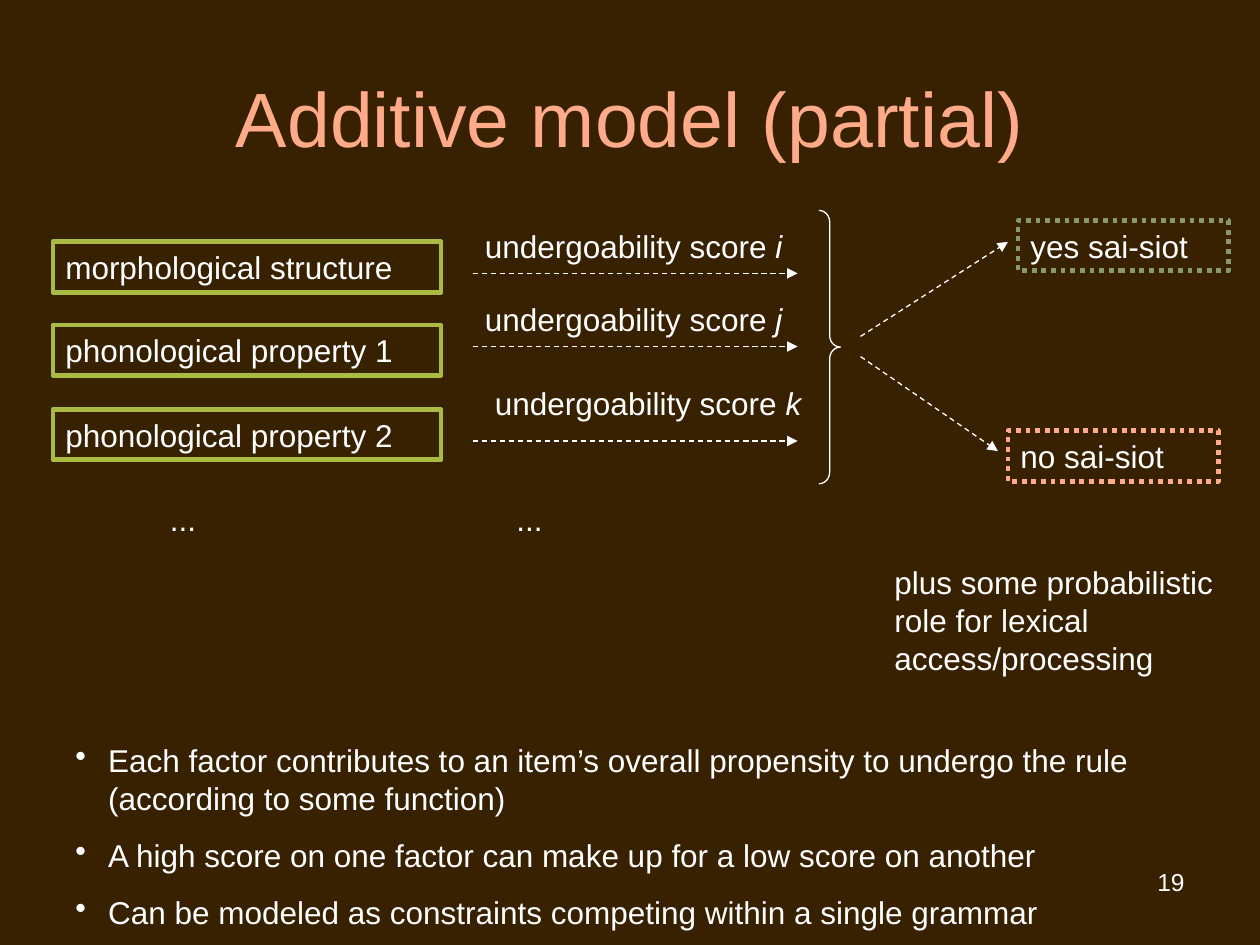
from dataclasses import dataclass

from lxml import etree
from pptx import Presentation
from pptx.dml.color import RGBColor
from pptx.enum.dml import MSO_LINE
from pptx.enum.shapes import MSO_CONNECTOR, MSO_SHAPE
from pptx.enum.text import MSO_ANCHOR, PP_ALIGN
from pptx.oxml.ns import qn
from pptx.util import Inches, Pt

RECTANGLE, RIGHT_BRACE = MSO_SHAPE.RECTANGLE, MSO_SHAPE.RIGHT_BRACE
STRAIGHT = MSO_CONNECTOR.STRAIGHT
DASH, DOTS, SOLID = MSO_LINE.DASH, MSO_LINE.ROUND_DOT, MSO_LINE.SOLID
TOP, MIDDLE = MSO_ANCHOR.TOP, MSO_ANCHOR.MIDDLE
LEFT, CENTER, RIGHT = PP_ALIGN.LEFT, PP_ALIGN.CENTER, PP_ALIGN.RIGHT


@dataclass(frozen=True)
class Theme:
    font: str = "Arial"
    background: str = "372100"
    text: str = "FFFFFF"
    accent: str = "FFAA88"
    factor: str = "AABB44"
    positive: str = "889966"
    title_size: float = 44
    body_size: float = 18
    number_size: float = 14
    space_before: float = 11.2
    box_line: float = 2.75
    thin_line: float = 0.75


THEME = Theme()
WIDTH, HEIGHT = 10, 7.5
CELL = WIDTH / 120
LINE_ROWS = 4.8
INDENT = 0.26

TITLE = "Additive model (partial)"
FACTORS = [
    ("morphological structure", 23),
    ("phonological property 1", 31),
    ("phonological property 2", 39),
]
SCORE = "undergoability score "
SCORES = [("i", 45, 21, 26), ("j", 45, 28, 33), ("k", 46, 36, 42)]
OUTCOMES = [
    ("yes sai-siot", 97, 21, THEME.positive, (82, 32), (96, 23)),
    ("no sai-siot", 96, 41, THEME.accent, (82, 34), (95, 43)),
]
ELLIPSIS_COLUMNS = [15, 48]
ASIDE = "plus some probabilistic role for lexical access/processing"
POINTS = [
    "Each factor contributes to an item’s overall propensity to undergo the rule (according to some function)",
    "A high score on one factor can make up for a low score on another",
    "Can be modeled as constraints competing within a single grammar",
]
PAGE = "19"


def grid(*cells):
    return [Inches(round(cell * CELL, 2)) for cell in cells]


def style_line(line, color, width, dash=SOLID):
    line.color.rgb = RGBColor.from_string(color)
    line.width = Pt(width)
    line.dash_style = dash


def style_paragraph(paragraph, size=THEME.body_size, color=THEME.text, align=LEFT):
    paragraph.alignment = align
    paragraph.font.name = THEME.font
    paragraph.font.size = Pt(size)
    paragraph.font.color.rgb = RGBColor.from_string(color)


def write(shape, *lines, **style):
    frame = shape.text_frame
    frame.word_wrap = True
    frame.vertical_anchor = TOP
    frame.text = "\n".join(lines)
    for paragraph in frame.paragraphs:
        style_paragraph(paragraph, **style)
        paragraph.space_before = Pt(THEME.space_before)
    return frame


def add_text(slide, cells, *lines, **style):
    return write(slide.shapes.add_textbox(*grid(*cells)), *lines, **style)


def add_box(slide, cells, label, color, dash=SOLID):
    box = slide.shapes.add_shape(RECTANGLE, *grid(*cells))
    box.shadow.inherit = False
    box.fill.background()
    style_line(box.line, color, THEME.box_line, dash)
    write(box, label)


def add_arrow(slide, start, end):
    arrow = slide.shapes.add_connector(STRAIGHT, *grid(*start, *end))
    style_line(arrow.line, THEME.text, THEME.thin_line, DASH)
    properties = arrow._element.spPr
    etree.SubElement(properties.find(qn("a:ln")), qn("a:tailEnd"), type="triangle")
    etree.SubElement(properties, qn("a:effectLst"))


def add_bullet(paragraph):
    properties = paragraph._p.get_or_add_pPr()
    properties.set("marL", str(Inches(INDENT)))
    properties.set("indent", str(-Inches(INDENT)))
    bullet = etree.Element(qn("a:buChar"), char="•")
    properties.find(qn("a:defRPr")).addprevious(bullet)


def main():
    deck = Presentation()
    deck.slide_width, deck.slide_height = Inches(WIDTH), Inches(HEIGHT)
    slide = deck.slides.add_slide(deck.slide_layouts[5])
    slide.background.fill.solid()
    slide.background.fill.fore_color.rgb = RGBColor.from_string(THEME.background)

    title = slide.shapes.title
    title.left, title.top, title.width, title.height = grid(6, 3.6, 108, 15)
    title.text_frame.text = TITLE
    title.text_frame.vertical_anchor = MIDDLE
    style_paragraph(title.text_frame.paragraphs[0], THEME.title_size, THEME.accent, CENTER)

    for factor, row in FACTORS:
        add_box(slide, (5, row, 37, LINE_ROWS), factor, THEME.factor)

    for index, column, row, arrow_row in SCORES:
        score = add_text(slide, (column, row, 34, LINE_ROWS), SCORE)
        run = score.paragraphs[0].add_run()
        run.text = index
        run.font.italic = True
        add_arrow(slide, (45, arrow_row), (76, arrow_row))

    for column in ELLIPSIS_COLUMNS:
        add_text(slide, (column, 47, 23, LINE_ROWS), "...")

    brace = slide.shapes.add_shape(RIGHT_BRACE, *grid(78, 20, 2, 26))
    brace.shadow.inherit = False
    brace.fill.background()
    style_line(brace.line, THEME.text, THEME.thin_line)
    brace.adjustments[0] = 0.54

    for outcome, column, row, color, start, end in OUTCOMES:
        add_box(slide, (column, row, 20, LINE_ROWS), outcome, color, DOTS)
        add_arrow(slide, start, end)

    add_text(slide, (84, 53, 33, 12), ASIDE)
    points = add_text(slide, (6, 70, 110, 19.4), *POINTS)
    for paragraph in points.paragraphs:
        add_bullet(paragraph)
    add_text(slide, (86, 82, 28, 6.2), PAGE, size=THEME.number_size, align=RIGHT)

    deck.save("out.pptx")


if __name__ == "__main__":
    main()
